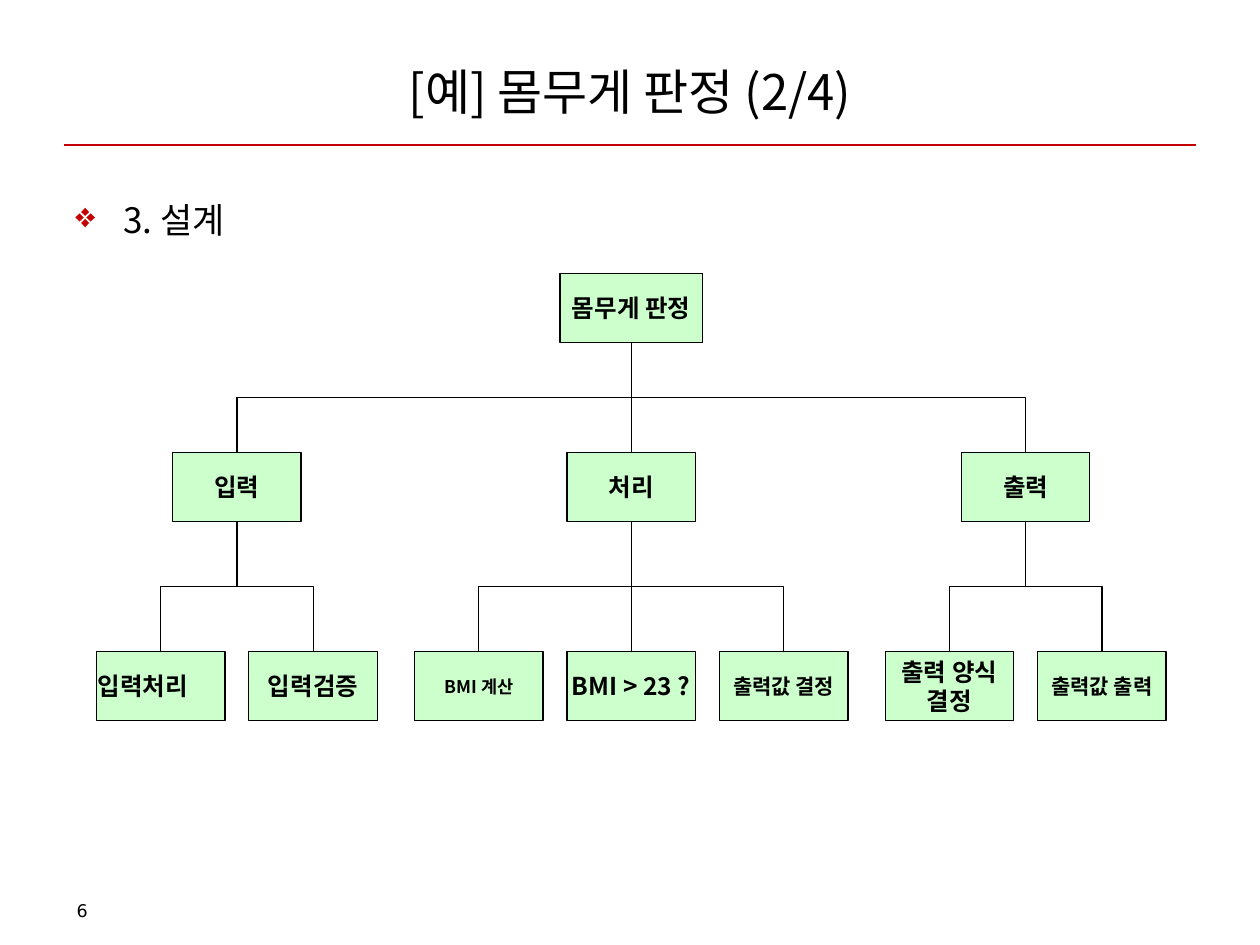
from dataclasses import dataclass

from lxml import etree
from pptx import Presentation
from pptx.dml.color import RGBColor
from pptx.enum.shapes import MSO_CONNECTOR, MSO_SHAPE
from pptx.enum.text import MSO_ANCHOR, PP_ALIGN
from pptx.oxml.ns import qn
from pptx.util import Inches, Pt

RECTANGLE = MSO_SHAPE.RECTANGLE
STRAIGHT, ELBOW = MSO_CONNECTOR.STRAIGHT, MSO_CONNECTOR.ELBOW
LEFT, CENTER = PP_ALIGN.LEFT, PP_ALIGN.CENTER
TOP, MIDDLE = MSO_ANCHOR.TOP, MSO_ANCHOR.MIDDLE
BOTTOM_SITE, TOP_SITE = 2, 0


@dataclass(frozen=True)
class Theme:
    """Colours, fonts and type sizes of the slide."""
    ink: RGBColor = RGBColor(0x00, 0x00, 0x00)
    accent: RGBColor = RGBColor(0xC4, 0x00, 0x00)
    box_fill: RGBColor = RGBColor(0xCC, 0xFF, 0xCC)
    korean_font: str = "Noto Sans CJK KR"
    number_font: str = "DejaVu Sans"
    title_size: int = 28
    body_size: int = 20
    box_size: int = 14
    medium_size: int = 12
    small_size: int = 10
    line_width: float = 0.75


class SlideBuilder:
    """Draws styled elements on one slide."""

    def __init__(self, slide, theme):
        """Keep the slide and its theme."""
        self.slide = slide
        self.theme = theme

    def style(self, paragraph, size, font_name, bold=False):
        """Set the font of a whole paragraph."""
        font = paragraph.font
        font.size, font.bold, font.name = Pt(size), bold, font_name
        font.color.rgb = self.theme.ink
        east_asian = etree.SubElement(font._element, qn("a:ea"))
        east_asian.set("typeface", font_name)

    def text(self, text, left, top, width, height, size, font_name=None,
             align=LEFT, anchor=TOP):
        """Add a wrapping text box and return its paragraph."""
        box = self.slide.shapes.add_textbox(
            Inches(left), Inches(top), Inches(width), Inches(height))
        frame = box.text_frame
        frame.word_wrap, frame.vertical_anchor = True, anchor
        paragraph = frame.paragraphs[0]
        paragraph.text, paragraph.alignment = text, align
        self.style(paragraph, size, font_name or self.theme.korean_font)
        return paragraph

    def bullet(self, paragraph, character, indent):
        """Give a paragraph a coloured bullet and a hanging indent."""
        properties = paragraph._p.get_or_add_pPr()
        properties.set("marL", str(Inches(indent)))
        properties.set("indent", str(-Inches(indent)))
        colour = etree.Element(qn("a:buClr"))
        etree.SubElement(colour, qn("a:srgbClr")).set("val", str(self.theme.accent))
        mark = etree.Element(qn("a:buChar"))
        mark.set("char", character)
        defaults = properties.find(qn("a:defRPr"))
        defaults.addprevious(colour)
        defaults.addprevious(mark)

    def box(self, text, center, top, width=1.02, size=None, align=CENTER):
        """Add a chart box centred on a horizontal position."""
        shape = self.slide.shapes.add_shape(
            RECTANGLE, Inches(center - width / 2), Inches(top),
            Inches(width), Inches(0.55))
        shape.shadow.inherit = False
        shape.fill.solid()
        shape.fill.fore_color.rgb = self.theme.box_fill
        shape.line.color.rgb = self.theme.ink
        shape.line.width = Pt(self.theme.line_width)
        frame = shape.text_frame
        frame.word_wrap = align == LEFT
        frame.vertical_anchor = MIDDLE
        frame.margin_left = frame.margin_right = Inches(0.01 if align == LEFT else 0.12)
        frame.margin_top = frame.margin_bottom = Inches(0.06)
        frame.text = text
        for paragraph in frame.paragraphs:
            paragraph.alignment = align
            self.style(paragraph, size or self.theme.box_size,
                       self.theme.korean_font, bold=True)
        return shape

    def line(self, kind, begin_x, begin_y, end_x, end_y, color):
        """Add a connector without a shadow."""
        connector = self.slide.shapes.add_connector(
            kind, begin_x, begin_y, end_x, end_y)
        connector.line.color.rgb = color
        connector.line.width = Pt(self.theme.line_width)
        etree.SubElement(connector._element.spPr, qn("a:effectLst"))
        return connector

    def branch(self, parent, child):
        """Join the bottom of a parent box to the top of a child box."""
        begin_x, begin_y = parent.left + parent.width // 2, parent.top + parent.height
        end_x, end_y = child.left + child.width // 2, child.top
        across, down = end_x - begin_x, end_y - begin_y
        straight = abs(across) < Inches(0.01)
        connector = self.line(STRAIGHT if straight else ELBOW,
                              begin_x, begin_y, end_x, end_y, self.theme.ink)
        connector.begin_connect(parent, BOTTOM_SITE)
        connector.end_connect(child, TOP_SITE)
        if straight:
            return
        # A quarter turn makes the elbow leave and arrive vertically.
        connector.width, connector.height = down, abs(across)
        connector.left = (begin_x + end_x - down) // 2
        connector.top = (begin_y + end_y - abs(across)) // 2
        transform = connector._element.spPr.find(qn("a:xfrm"))
        transform.set("rot", str((90 if across < 0 else 270) * 60000))
        transform.set("flipH", "0" if across < 0 else "1")


def build_tree(builder):
    """Draw the three-level structure chart."""
    theme = builder.theme
    middle, stage_gap, leaf_gap = 5.01, 3.13, 1.21
    stages = [
        ("입력", [("입력처리", theme.box_size, LEFT),
                ("입력검증", theme.box_size, CENTER)]),
        ("처리", [("BMI 계산", theme.small_size, CENTER),
                ("BMI > 23 ?", theme.box_size, CENTER),
                ("출력값 결정", theme.medium_size, CENTER)]),
        ("출력", [("출력 양식\n결정", theme.box_size, CENTER),
                ("출력값 출력", theme.medium_size, CENTER)]),
    ]
    root = builder.box("몸무게 판정", middle, 2.17, width=1.13)
    for column, (name, leaves) in enumerate(stages):
        center = middle + (column - 1) * stage_gap
        stage = builder.box(name, center, 3.59)
        builder.branch(root, stage)
        for index, (text, size, align) in enumerate(leaves):
            offset = (index - (len(leaves) - 1) / 2) * leaf_gap
            leaf = builder.box(text, center + offset, 5.17, size=size, align=align)
            builder.branch(stage, leaf)


def main():
    """Build and save the presentation."""
    presentation = Presentation()
    presentation.slide_width, presentation.slide_height = Inches(10), Inches(7.5)
    slide = presentation.slides.add_slide(presentation.slide_layouts[6])
    theme = Theme()
    builder = SlideBuilder(slide, theme)

    builder.line(STRAIGHT, Inches(0.51), Inches(1.15), Inches(9.49), Inches(1.15),
                 theme.accent)
    builder.text("6", 0.51, 7.09, 2.33, 0.28, theme.small_size, theme.number_font)
    builder.text("[예] 몸무게 판정 (2/4)", 0.5, 0.3, 9, 0.85, theme.title_size,
                 align=CENTER, anchor=MIDDLE)
    heading = builder.text("3. 설계", 0.5, 1.39, 9, 5.51, theme.body_size)
    heading.line_spacing, heading.space_before = 1.4, Pt(4)
    builder.bullet(heading, "❖", 0.38)
    build_tree(builder)

    presentation.save("out.pptx")


main()
